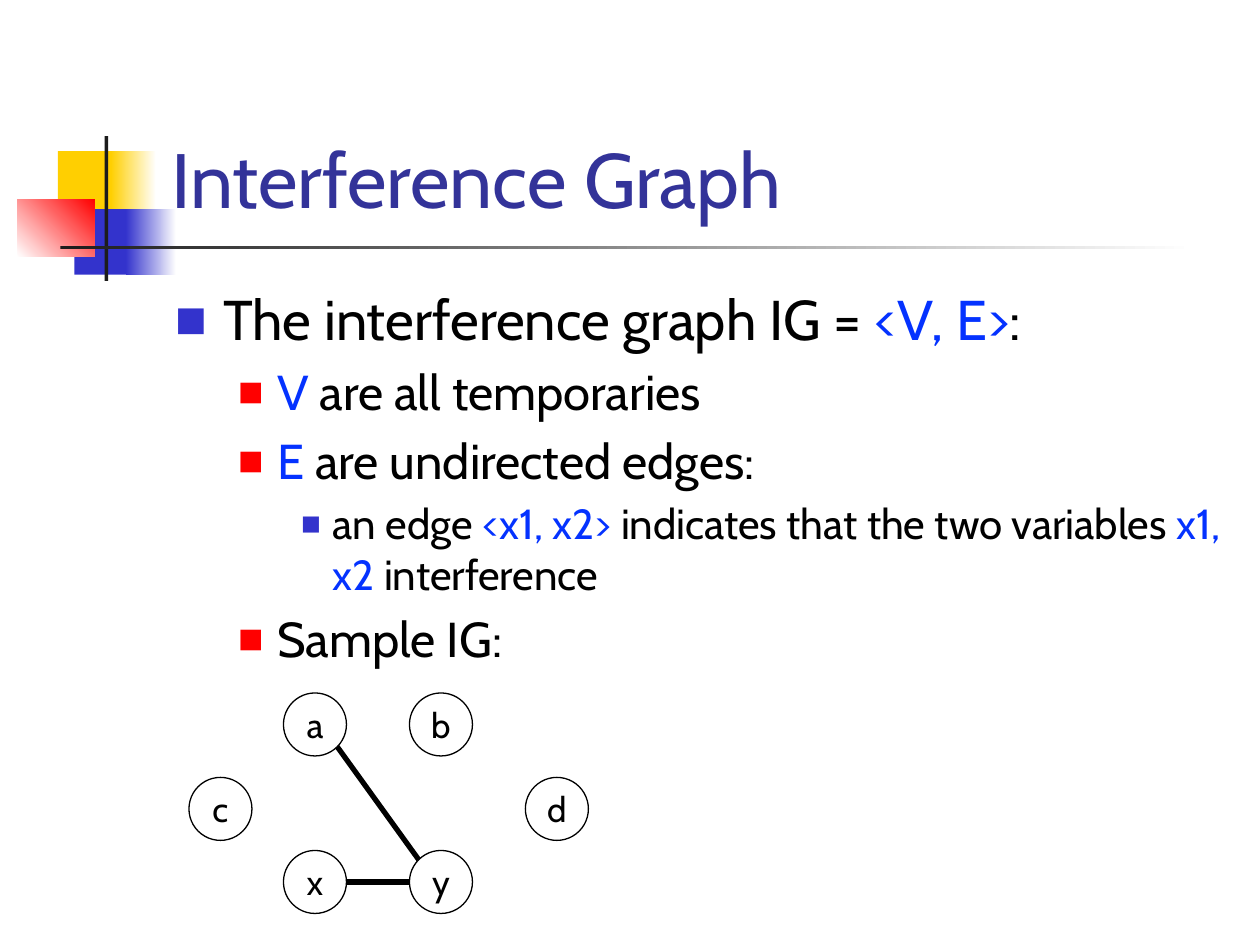
import math

from lxml import etree
from pptx import Presentation
from pptx import util as u
from pptx.dml.color import RGBColor
from pptx.enum import shapes, text
from pptx.oxml.ns import qn

FONT = "Cabin"
COLORS = {
    "yellow": "FFCF01", "blue": "3333CC", "red": "FF0000", "white": "FFFFFF",
    "dark": "1C1C1C", "title": "333399", "black": "000000", "accent": "0432FF",
}

# left, top, width, height, colours from first to last, gradient angle
DECORATIONS = [
    (0.46, 1.2, 0.48, 0.52, ["yellow"], 0),
    (0.88, 1.2, 0.36, 0.52, ["yellow", "white"], 0),
    (0.59, 1.66, 0.46, 0.52, ["blue"], 0),
    (1, 1.66, 0.4, 0.52, ["blue", "white"], 0),
    (0.14, 1.58, 0.61, 0.46, ["white", "red"], 45),
    (0.83, 1.08, 0.03, 1.15, ["dark"], 0),
    (0.48, 1.95, 9, 0.03, ["dark", "white"], 0),
]

TITLE = "Interference Graph"
# level, runs; each run is text and colour
BODY = [
    (0, [("The interference graph IG = ", "black"), ("<V, E>", "accent"), (":", "black")]),
    (1, [("V", "accent"), (" are all temporaries", "black")]),
    (1, [("E", "accent"), (" are undirected edges:", "black")]),
    (2, [("an edge ", "black"), ("<x1, x2> ", "accent"),
         ("indicates that the two variables ", "black"),
         ("x1, x2 ", "accent"), ("interference", "black")]),
    (1, [("Sample IG:", "black")]),
]
LEVELS = [
    {"size": 32, "indent": 0.38, "hanging": 0.38, "bullet": "blue", "percent": 60},
    {"size": 28, "indent": 0.81, "hanging": 0.31, "bullet": "red", "percent": 55},
    {"size": 24, "indent": 1.25, "hanging": 0.25, "bullet": "blue", "percent": 50},
]

RADIUS = 0.25
NODES = {  # centres
    "a": (2.5, 5.75), "b": (3.5, 5.75), "c": (1.75, 6.42),
    "d": (4.42, 6.42), "x": (2.5, 7), "y": (3.5, 7),
}
EDGES = [("x", "y"), ("a", "y")]


def rgb(name):
    return RGBColor.from_string(COLORS[name])


def add_text(paragraph, content, *, size, color="black", align=text.PP_ALIGN.LEFT):
    paragraph.alignment = align
    run = paragraph.add_run()
    run.text = content
    run.font.name = FONT
    run.font.size = u.Pt(size)
    run.font.color.rgb = rgb(color)


def add_shape(slide, preset, left, top, width, height):
    shape = slide.shapes.add_shape(preset, *map(u.Inches, (left, top, width, height)))
    shape.shadow.inherit = False
    return shape


def add_decoration(slide, left, top, width, height, colors, angle):
    shape = add_shape(slide, shapes.MSO_SHAPE.RECTANGLE, left, top, width, height)
    shape.line.fill.background()
    if len(colors) == 1:
        shape.fill.solid()
        shape.fill.fore_color.rgb = rgb(colors[0])
        return
    shape.fill.gradient()
    shape.fill.gradient_angle = angle
    for stop, color in zip(shape.fill.gradient_stops, colors):
        stop.color.rgb = rgb(color)


def place(placeholder, left, top, width, height, anchor):
    """Position a placeholder in front of the shapes drawn so far."""
    placeholder.left, placeholder.top = u.Inches(left), u.Inches(top)
    placeholder.width, placeholder.height = u.Inches(width), u.Inches(height)
    frame = placeholder.text_frame
    frame.word_wrap = True
    frame.auto_size = text.MSO_AUTO_SIZE.NONE
    frame.vertical_anchor = anchor
    placeholder.element.getparent().append(placeholder.element)
    return frame


def add_bullet(paragraph, style):
    properties = paragraph._p.get_or_add_pPr()
    properties.set("marL", str(u.Inches(style["indent"])))
    properties.set("indent", str(-u.Inches(style["hanging"])))
    color = etree.SubElement(properties, qn("a:buClr"))
    etree.SubElement(color, qn("a:srgbClr"), val=COLORS[style["bullet"]])
    etree.SubElement(properties, qn("a:buSzPct"), val=str(style["percent"] * 1000))
    etree.SubElement(properties, qn("a:buFont"), typeface=FONT)
    etree.SubElement(properties, qn("a:buChar"), char="■")


def add_body(frame):
    for index, (level, runs) in enumerate(BODY):
        paragraph = frame.add_paragraph() if index else frame.paragraphs[0]
        paragraph.level = level
        add_bullet(paragraph, LEVELS[level])
        if index == 0:
            paragraph.space_before = u.Pt(0)
        for content, color in runs:
            add_text(paragraph, content, size=LEVELS[level]["size"], color=color)


def add_node(slide, label, center):
    x, y = center
    node = add_shape(slide, shapes.MSO_SHAPE.OVAL, x - RADIUS, y - RADIUS,
                     2 * RADIUS, 2 * RADIUS)
    node.fill.background()
    node.line.color.rgb = rgb("black")
    node.line.width = u.Pt(0.75)
    frame = node.text_frame
    frame.word_wrap = False
    frame.vertical_anchor = text.MSO_ANCHOR.MIDDLE
    add_text(frame.paragraphs[0], label, size=20, align=text.PP_ALIGN.CENTER)


def add_edge(slide, start, end):
    """Join two circles at the rim points nearest to a multiple of 45 degrees."""
    (x1, y1), (x2, y2) = NODES[start], NODES[end]
    step = math.pi / 4
    angle = round(math.atan2(y2 - y1, x2 - x1) / step) * step
    dx, dy = RADIUS * math.cos(angle), RADIUS * math.sin(angle)
    points = (x1 + dx, y1 + dy, x2 - dx, y2 - dy)
    edge = slide.shapes.add_connector(shapes.MSO_CONNECTOR.STRAIGHT, *map(u.Inches, points))
    edge.line.color.rgb = rgb("black")
    edge.line.width = u.Pt(3)
    etree.SubElement(edge.element.spPr, qn("a:effectLst"))


def main():
    presentation = Presentation()
    presentation.slide_width, presentation.slide_height = u.Inches(10), u.Inches(7.5)
    slide = presentation.slides.add_slide(presentation.slide_layouts[1])

    for decoration in DECORATIONS:
        add_decoration(slide, *decoration)

    title = place(slide.shapes.title, 1.26, 0.23, 8.52, 1.6, text.MSO_ANCHOR.BOTTOM)
    add_text(title.paragraphs[0], TITLE, size=44, color="title")
    add_body(place(slide.placeholders[1], 1.29, 2.21, 8.5, 4.5, text.MSO_ANCHOR.TOP))

    for label, center in NODES.items():
        add_node(slide, label, center)
    for start, end in EDGES:
        add_edge(slide, start, end)

    presentation.save("out.pptx")


if __name__ == "__main__":
    main()
